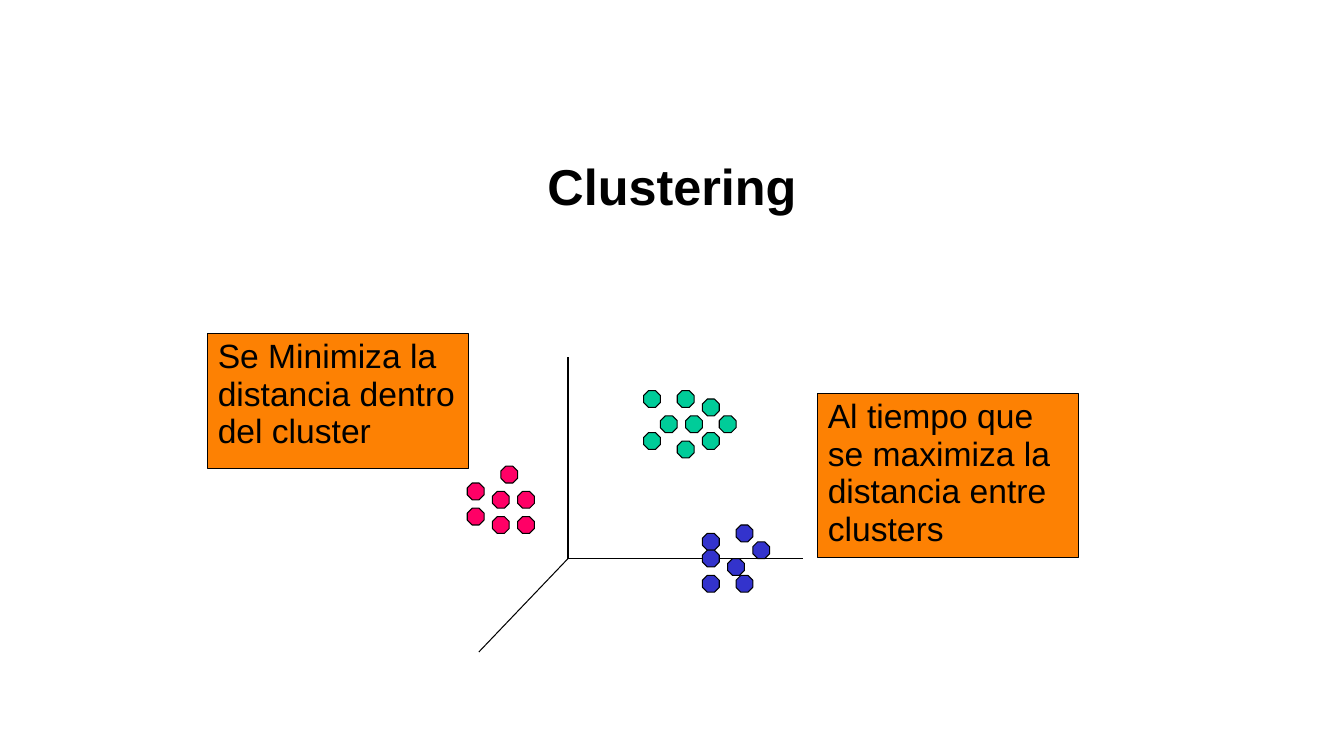
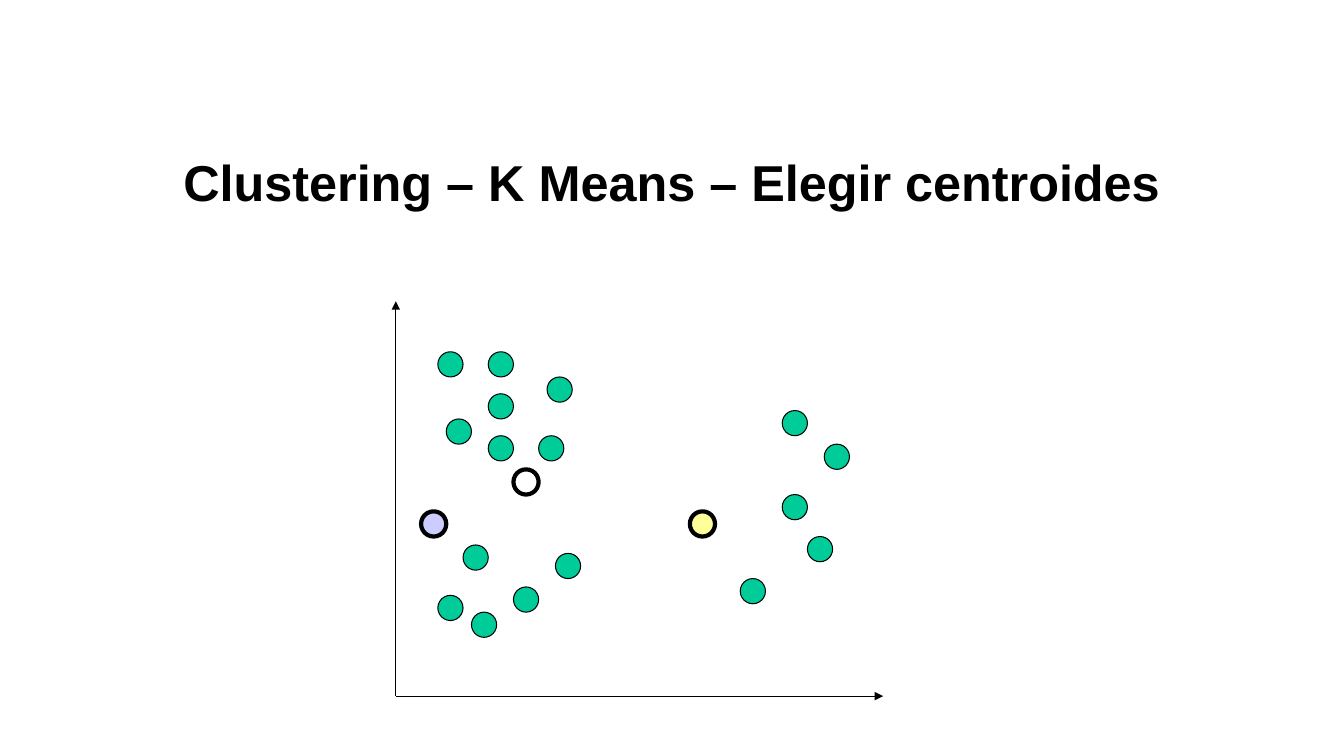
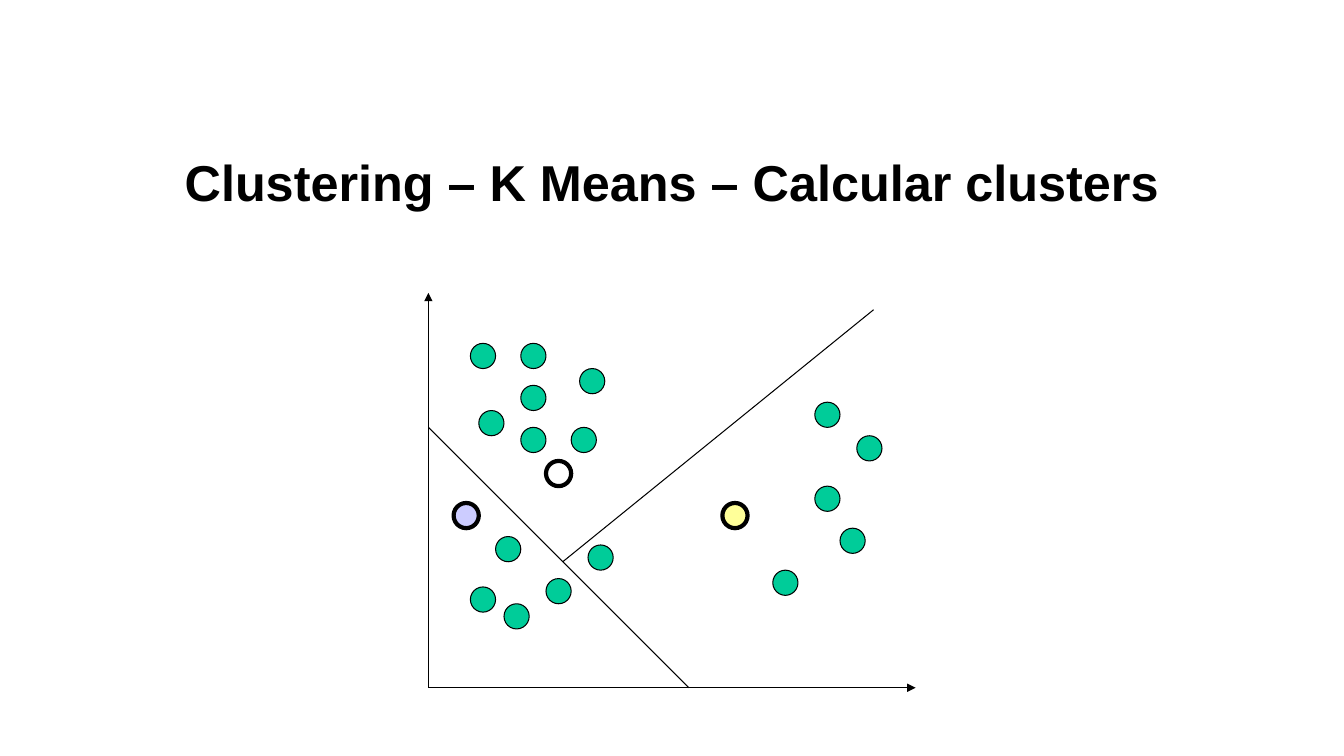
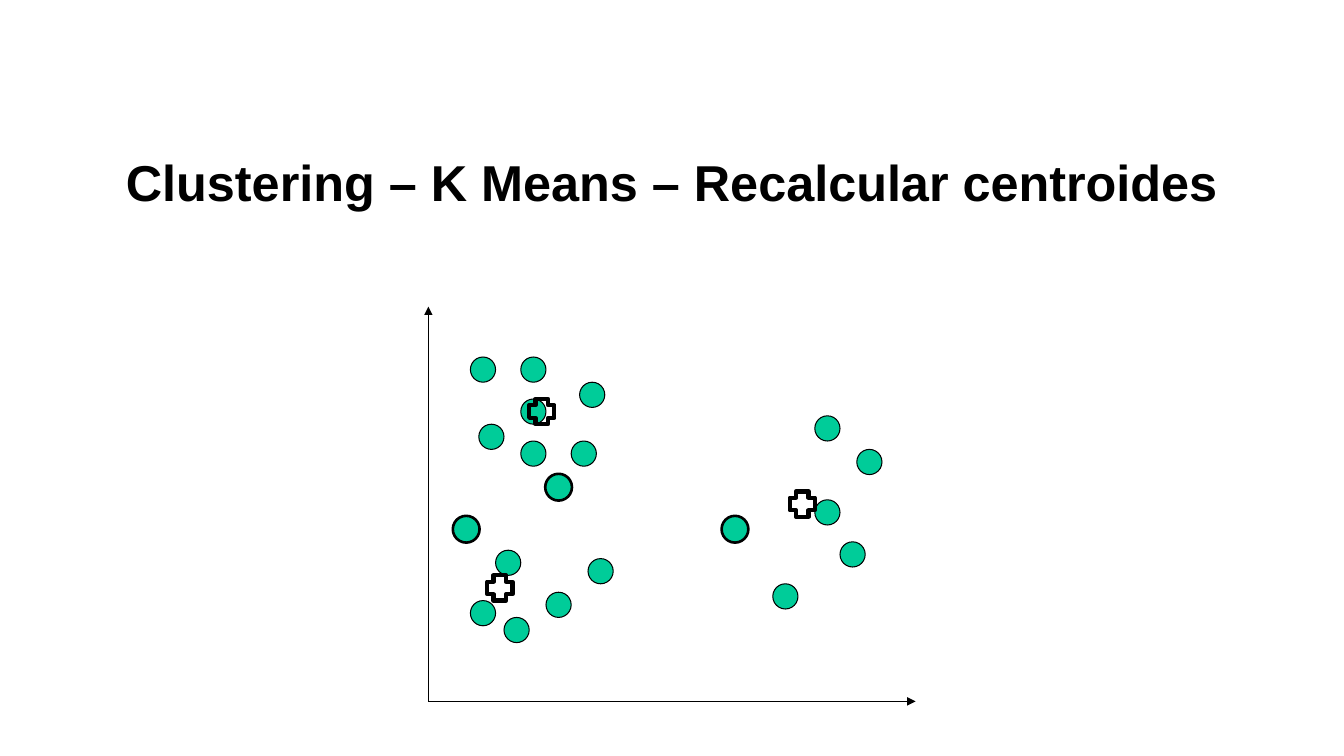
from pptx import Presentation
from pptx import util as u
from pptx.dml.color import RGBColor
from pptx.enum import shapes, text
from lxml import etree

PX = u.Inches(1) // 96
STEP = 8  # px between the points of the plotting grid
FONT = "Arial"
BLACK, WHITE, ORANGE = "000000", "FFFFFF", "FD8103"
GREEN, PINK, BLUE = "00CC99", "FF0066", "3333CC"
LILAC, YELLOW = "CCCCFF", "FFFF99"
THIN, THICK = 0.75, 3
KIND = shapes.MSO_SHAPE
AXES = 58, 47  # width and height in steps

# Points are (steps right, steps up) from the origin of the axes.
POINTS = [
    (5, 12), (14, 13), (8, 18), (9, 10), (19, 17),
    (41, 14), (49, 19), (46, 24), (51, 30), (46, 34),
    (11, 36), (5, 41), (6, 33), (18, 38), (11, 31), (17, 31), (11, 41),
]
CENTRES = {(3, 22): LILAC, (14, 27): WHITE, (35, 22): YELLOW}
MEANS = [(7, 15), (43, 25), (12, 36)]
BORDERS = [((0, 31), (31, 0)), ((16, 15), (53, 45))]
GROUPS = {
    GREEN: [(11, 17), (14, 17), (13, 20), (13, 14), (18, 17),
            (16, 19), (9, 20), (16, 15), (9, 15)],
    PINK: [(-12, 9), (-9, 8), (-9, 5), (-6, 8), (-8, 11), (-6, 5), (-12, 6)],
    BLUE: [(16, 3), (22, 2), (19, 0), (16, -2), (20, -2), (16, 1), (20, 4)],
}


def color(code):
    return RGBColor.from_string(code)


def paint(fill, code):
    fill.solid()
    fill.fore_color.rgb = color(code)


def stroke(line, width=THIN):
    line.color.rgb = color(BLACK)
    line.width = u.Pt(width)


def spot(origin, point):
    """Turn grid steps from the origin into slide px."""
    return origin[0] + point[0] * STEP, origin[1] - point[1] * STEP


def write(slide, box, words, size):
    area = slide.shapes.add_textbox(*(n * PX for n in box))
    frame = area.text_frame
    frame.word_wrap = True
    par = frame.paragraphs[0]
    par.text = words
    par.line_spacing = 0.93
    par.font.name = FONT
    par.font.size = u.Pt(size)
    par.font.color.rgb = color(BLACK)
    return area


def title(slide, top, words):
    frame = write(slide, (0, top, 1280, 128), words, 36).text_frame
    frame.vertical_anchor = text.MSO_ANCHOR.MIDDLE
    par = frame.paragraphs[0]
    par.alignment = text.PP_ALIGN.CENTER
    par.font.bold = True


def label(slide, box, words):
    area = write(slide, box, words, 24)
    paint(area.fill, ORANGE)
    stroke(area.line)


def mark(slide, kind, place, size, code=None, width=THIN):
    """Draw one data point; without a colour it stays hollow."""
    dot = slide.shapes.add_shape(kind, *(n * PX for n in (*place, size, size)))
    dot.shadow.inherit = False
    if code:
        paint(dot.fill, code)
    else:
        dot.fill.background()
    stroke(dot.line, width)
    return dot


def rule(slide, start, end, arrow=False):
    line = slide.shapes.add_connector(
        shapes.MSO_CONNECTOR.STRAIGHT, *(n * PX for n in (*start, *end)))
    stroke(line.line)
    props = line._element.spPr
    space = "{" + props.nsmap["a"] + "}"
    if arrow:
        etree.SubElement(props.find(space + "ln"), space + "tailEnd",
                         type="triangle")
    etree.SubElement(props, space + "effectLst")


def groups(slide, origin):
    """Draw three axes and the coloured groups around their origin."""
    left, base = origin
    for end in (spot(origin, (0, 24)), spot(origin, (28, 0)),
                (left - 85, base + 89)):
        rule(slide, origin, end)
    for code, points in GROUPS.items():
        for point in points:
            dot = mark(slide, KIND.OCTAGON, spot(origin, point), 16, code)
            dot.adjustments[0] = 0.29


def plot(slide, origin, borders=(), means=()):
    """Draw the K-means chart; new means turn old centres into points."""
    wide, high = AXES
    for tip in ((0, high), (wide, 0)):
        rule(slide, origin, spot(origin, tip), arrow=True)
    for point in POINTS:
        mark(slide, KIND.OVAL, spot(origin, point), 24, GREEN)
    for point, code in CENTRES.items():
        mark(slide, KIND.OVAL, spot(origin, point), 24, code, THICK)
        if means:
            mark(slide, KIND.OVAL, spot(origin, point), 24, GREEN)
    for point in means:
        mark(slide, KIND.CROSS, spot(origin, point), 24, width=THICK)
    for start, end in borders:
        rule(slide, spot(origin, start), spot(origin, end))


def main():
    deck = Presentation()
    deck.slide_width, deck.slide_height = 1280 * PX, 720 * PX
    blank = deck.slide_layouts[6]

    intro = deck.slides.add_slide(blank)
    title(intro, 116, "Clustering")
    groups(intro, (541, 532))
    label(intro, (198, 318, 248, 128),
          "Se Minimiza la distancia dentro del cluster")
    label(intro, (779, 375, 248, 156),
          "Al tiempo que se maximiza la distancia entre clusters")

    for name, origin, extra in (
        ("Elegir centroides", (377, 663), {}),
        ("Calcular clusters", (408, 655), {"borders": BORDERS}),
        ("Recalcular centroides", (408, 668), {"means": MEANS}),
    ):
        slide = deck.slides.add_slide(blank)
        title(slide, 112, "Clustering – K Means – " + name)
        plot(slide, origin, **extra)

    deck.save("out.pptx")


if __name__ == "__main__":
    main()
